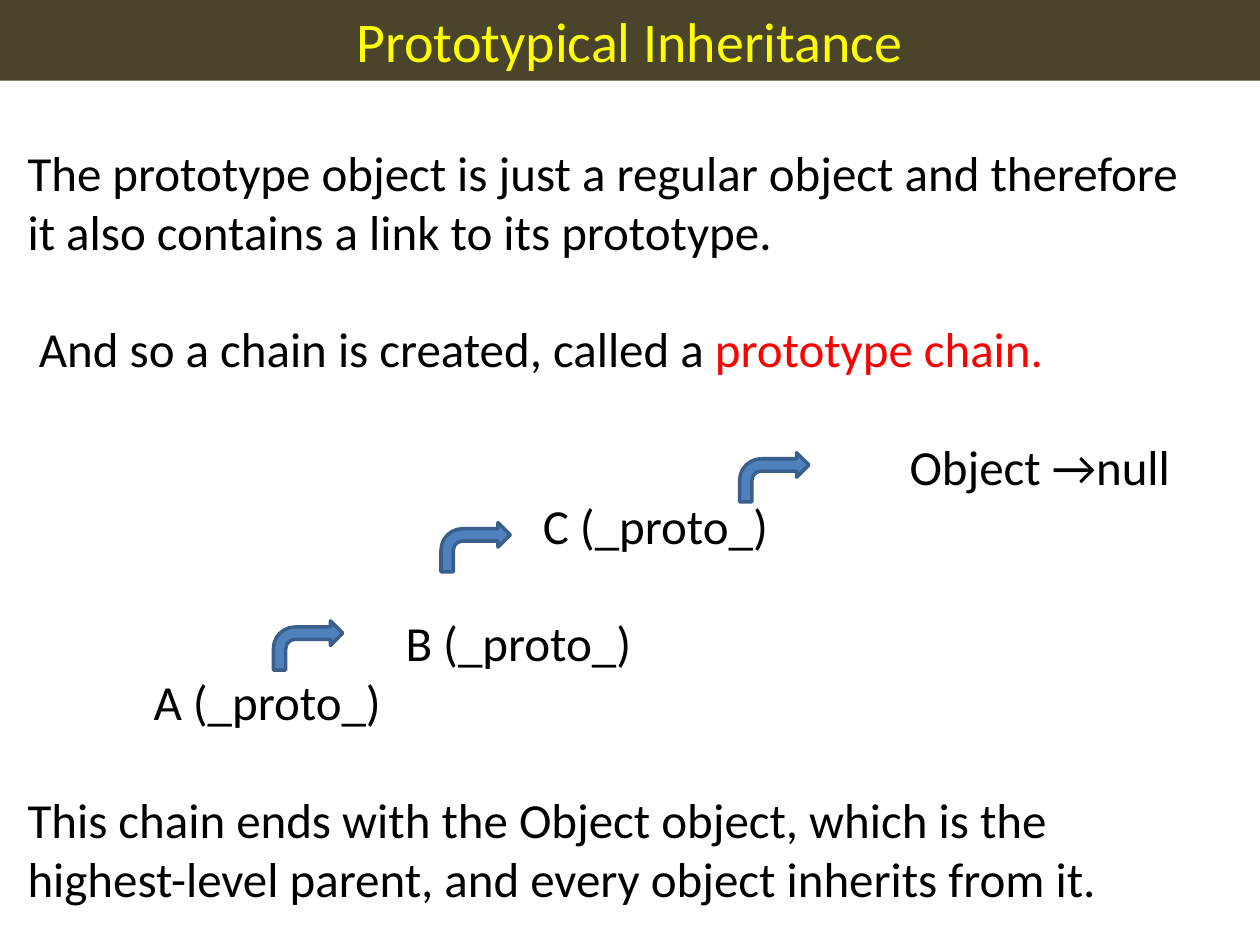
from dataclasses import dataclass

from pptx import Presentation, util as u
from pptx.dml.color import RGBColor
from pptx.enum import shapes, text

WIDTH, HEIGHT = u.Inches(10), u.Inches(7.5)
COLUMN = WIDTH // 10  # tab grid used for the chain
SPACE = 0.09  # small step, in columns


@dataclass(frozen=True)
class Theme:
    font: str = "Calibri"
    title_size: int = 32
    body_size: int = 28
    gap: float = 33.6  # one empty body line, in points
    bar: str = "4A452A"
    title: str = "FFFF00"
    body: str = "000000"
    accent: str = "FF0000"
    arrow: str = "4F81BD"
    arrow_line: str = "3A5F8C"


@dataclass(frozen=True)
class Line:
    text: str
    column: float = 0
    gap_before: bool = False
    accent: str = ""


@dataclass(frozen=True)
class Arrow:
    """Left and top as shares of the slide's size."""
    left: float
    top: float


THEME = Theme()

LINES = [
    Line("The prototype object is just a regular object and therefore "
         "it also contains a link to its prototype."),
    Line("And so a chain is created, called a ", SPACE, True, "prototype chain."),
    Line("Object →null", 7, True),
    Line("C (_proto_)", 4 + SPACE),
    Line("B (_proto_)", 3, True),
    Line("A (_proto_)", 1),
    Line("This chain ends with the Object object, which is the "
         "highest-level parent, and every object inherits from it.", 0, True),
]

ARROWS = [Arrow(0.587, 0.479), Arrow(0.35, 0.553), Arrow(0.217, 0.657)]


def rgb(value: str) -> RGBColor:
    return RGBColor.from_string(value)


def add_run(p, content: str, *, size: int = THEME.body_size,
            color: str = THEME.body) -> None:
    r = p.add_run()
    r.text = content
    r.font.name = THEME.font
    r.font.size = u.Pt(size)
    r.font.color.rgb = rgb(color)


def add_filled(s, kind, box: tuple, fill: str, line: str = ""):
    """Add a flat preset shape, outlined only when a line colour is given."""
    sp = s.shapes.add_shape(kind, *box)
    sp.shadow.inherit = False
    sp.fill.solid()
    sp.fill.fore_color.rgb = rgb(fill)
    if line:
        sp.line.color.rgb = rgb(line)
        sp.line.width = u.Pt(2)
    else:
        sp.line.fill.background()
    return sp


def add_title(s, content: str) -> None:
    box = (0, 0, WIDTH, u.Inches(0.64))
    sp = add_filled(s, shapes.MSO_SHAPE.RECTANGLE, box, THEME.bar)
    tf = sp.text_frame
    tf.vertical_anchor = text.MSO_ANCHOR.MIDDLE
    p = tf.paragraphs[0]
    p.alignment = text.PP_ALIGN.CENTER
    add_run(p, content, size=THEME.title_size, color=THEME.title)


def add_body(s, lines: list[Line]) -> None:
    sp = s.shapes.add_textbox(u.Inches(0.12), u.Inches(1.08),
                              u.Inches(9.58), u.Inches(6.2))
    tf = sp.text_frame
    tf.word_wrap = True
    for i, line in enumerate(lines):
        p = tf.add_paragraph() if i else tf.paragraphs[0]
        p.space_before = u.Pt(THEME.gap if line.gap_before else 0)
        props = p._p.get_or_add_pPr()
        props.set("marL", str(round(line.column * COLUMN)))
        props.set("indent", "0")
        add_run(p, line.text)
        if line.accent:
            add_run(p, line.accent, color=THEME.accent)


def add_arrow(s, arrow: Arrow) -> None:
    box = (round(arrow.left * WIDTH), round(arrow.top * HEIGHT),
           u.Inches(0.55), u.Inches(0.39))
    add_filled(s, shapes.MSO_SHAPE.BENT_ARROW, box, THEME.arrow, THEME.arrow_line)


def main() -> None:
    prs = Presentation()
    prs.slide_width, prs.slide_height = WIDTH, HEIGHT
    s = prs.slides.add_slide(prs.slide_layouts[6])
    add_title(s, "Prototypical Inheritance")
    add_body(s, LINES)
    for arrow in ARROWS:
        add_arrow(s, arrow)
    prs.save("out.pptx")


if __name__ == "__main__":
    main()
